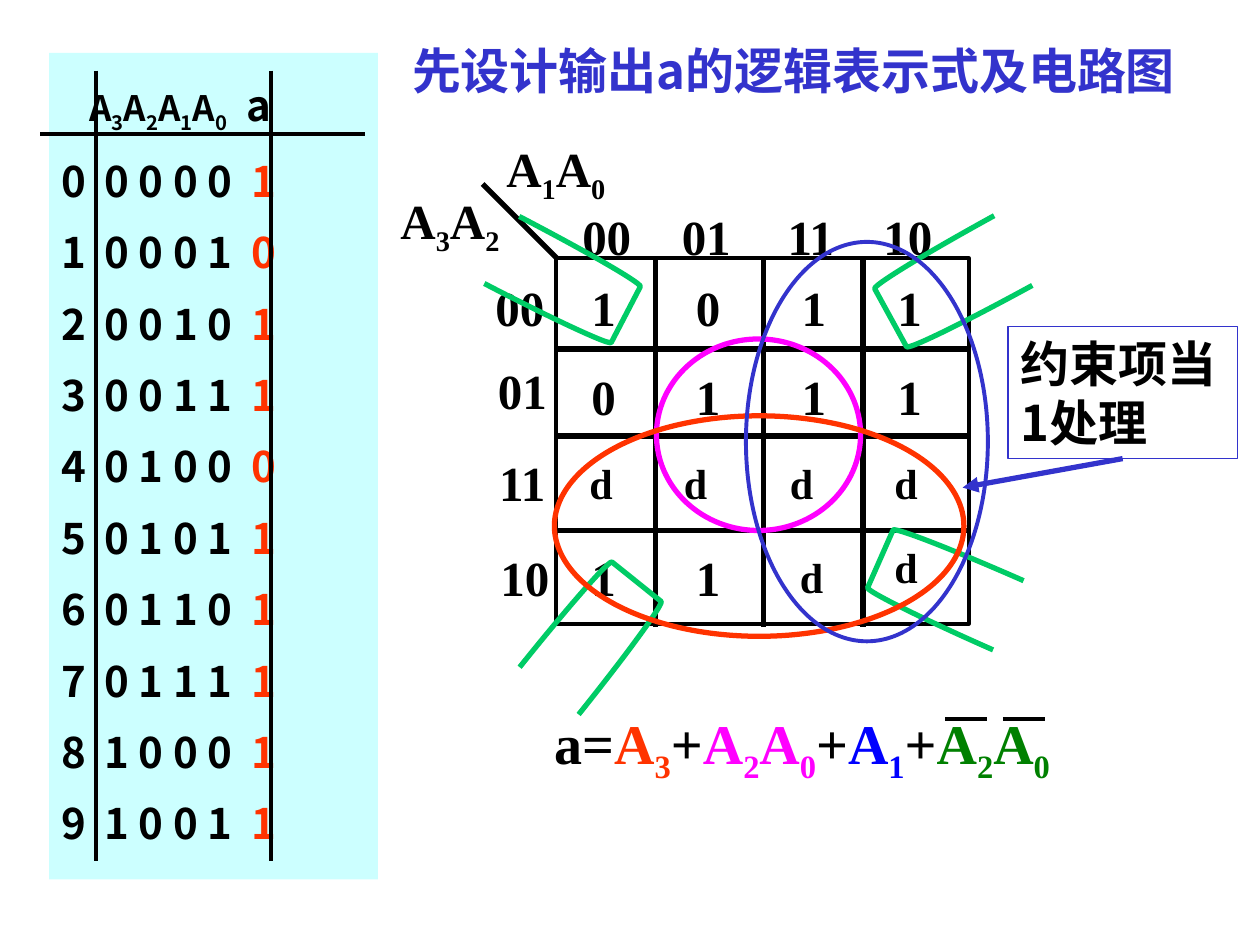
from lxml import etree
from pptx import Presentation
from pptx.dml.color import RGBColor
from pptx.enum import shapes, text
from pptx.oxml import ns
from pptx.util import Inches, Pt

BLACK = RGBColor(0, 0, 0)
WHITE = RGBColor(255, 255, 255)
INDIGO = RGBColor(0x33, 0x33, 0xCC)
BLUE = RGBColor(0, 0, 255)
MAGENTA = RGBColor(255, 0, 255)
RED = RGBColor(0xFF, 0x33, 0)
GREEN = RGBColor(0, 0x80, 0)
LOOP_GREEN = RGBColor(0, 0xCC, 0x66)
PALE_CYAN = RGBColor(0xCC, 0xFF, 0xFF)
SERIF, SANS = "Times New Roman", "Noto Sans CJK SC"
LEFT, CENTER = text.PP_ALIGN.LEFT, text.PP_ALIGN.CENTER
MIDDLE, TOP = text.MSO_ANCHOR.MIDDLE, text.MSO_ANCHOR.TOP

# Content
TITLE = "先设计输出a的逻辑表示式及电路图"
NOTE = "约束项当1处理"
SEGMENT_A = "1011011111"  # output for the decimal digits 0 to 9
FORMULA = [("a=", BLACK), ("A3", RED), ("+", BLACK), ("A2A0", MAGENTA),
           ("+", BLACK), ("A1", BLUE), ("+", BLACK), ("A2A0", GREEN)]
NEGATION_BARS = [7.5, 7.96]

# Karnaugh map: cell values, then left and top of each label or cell
MAP_VALUES = ["1011", "0111", "    ", "11  "]
CELL_LEFTS = [4.53, 5.36, 6.2, 6.96]
CELL_TOPS = [2.15, 2.86, 3.58, 4.29]
COLUMN_LABELS = [("00", 4.44), ("01", 5.23), ("11", 6.06), ("10", 6.83)]
ROW_LABELS = [("00", 3.75, 2.15), ("01", 3.77, 2.81),
              ("11", 3.77, 3.54), ("10", 3.79, 4.29)]
DONT_CARES = [(4.58, 3.58), (5.33, 3.58), (6.17, 3.58), (7, 3.58),
              (6.25, 4.33), (7, 4.25)]
COLUMN_RULES = [5.2, 6.06, 6.85]
ROW_RULES = [2.77, 3.46, 4.21]
CORNER_LOOPS = [((7, 1.94, 1.11, 0.63), 331.3), ((6.94, 4.36, 1.11, 0.6), 23.8),
                ((4.15, 4.75, 1.11, 0.6), 128.7), ((3.92, 1.94, 1.11, 0.6), 207.5)]

prs = Presentation()
prs.slide_width, prs.slide_height = Inches(10), Inches(7.5)
slide = prs.slides.add_slide(prs.slide_layouts[5])


def variables(names, color=BLACK, size=28):
    """Runs for names such as A3A2, with the digits as subscripts."""
    return [(char, color, size, char.isdigit()) for char in names]


def add_runs(paragraph, runs, font):
    for content, color, size, subscript in runs:
        run = paragraph.add_run()
        run.text = content
        run.font.name, run.font.size, run.font.bold = font, Pt(size), True
        run.font.color.rgb = color
        props = run.font._element
        if subscript:
            props.set("baseline", "-25000")
        if font == SANS:
            etree.SubElement(props, ns.qn("a:ea")).set("typeface", font)


def prepare(frame, anchor=MIDDLE):
    frame.word_wrap = True
    frame.auto_size = text.MSO_AUTO_SIZE.NONE
    frame.vertical_anchor = anchor
    frame.margin_left = frame.margin_right = Inches(0.1)
    frame.margin_top = frame.margin_bottom = Inches(0.05)
    return frame.paragraphs[0]


def add_label(box, runs, align=LEFT, anchor=MIDDLE):
    label = slide.shapes.add_textbox(*map(Inches, box))
    paragraph = prepare(label.text_frame, anchor)
    paragraph.alignment = align
    add_runs(paragraph, runs, SERIF)


def add_figure(kind, box, fill=None, color=None, width=3):
    figure = slide.shapes.add_shape(kind, *map(Inches, box))
    figure.shadow.inherit = False
    if fill is None:
        figure.fill.background()
    else:
        figure.fill.solid()
        figure.fill.fore_color.rgb = fill
    if color is None:
        figure.line.fill.background()
    else:
        figure.line.color.rgb = color
        figure.line.width = Pt(width)
    return figure


def add_line(x1, y1, x2, y2, width=3, color=BLACK, arrow=False):
    line = slide.shapes.add_connector(shapes.MSO_CONNECTOR.STRAIGHT,
                                      *map(Inches, (x1, y1, x2, y2)))
    line.line.color.rgb = color
    line.line.width = Pt(width)
    props = line._element.spPr
    if arrow:
        etree.SubElement(props.find(ns.qn("a:ln")), ns.qn("a:tailEnd")).set("type", "triangle")
    etree.SubElement(props, ns.qn("a:effectLst"))


def set_tabs(paragraph, stops):
    tabs = etree.SubElement(paragraph._p.get_or_add_pPr(), ns.qn("a:tabLst"))
    for stop in stops:
        tab = etree.SubElement(tabs, ns.qn("a:tab"))
        tab.set("pos", str(Inches(stop)))
        tab.set("algn", "l")


# Title
title = slide.shapes.title
title.left, title.top, title.width, title.height = map(Inches, (3.17, 0.27, 6.59, 0.57))
heading = prepare(title.text_frame)
heading.alignment, heading.line_spacing = LEFT, Pt(33.6)
add_runs(heading, [(TITLE, INDIGO, 28, False)], SANS)

# Karnaugh map grid and labels
add_figure(shapes.MSO_SHAPE.RECTANGLE, (4.41, 2.05, 3.28, 2.9), WHITE, BLACK, 2.25)
for x in COLUMN_RULES:
    add_line(x, 2.05, x, 4.98)
for y in ROW_RULES:
    add_line(4.42, y, 7.71, y)
add_line(4.42, 2.05, 3.83, 1.46)
add_label((3.08, 1.49, 1.19, 0.57), variables("A3A2"))
add_label((3.92, 1.08, 1.19, 0.57), variables("A1A0"))
for code, left, top in [(c, x, 1.59) for c, x in COLUMN_LABELS] + ROW_LABELS:
    add_label((left, top, 0.75, 0.57), [(code, BLACK, 28, False)], CENTER)
for values, top in zip(MAP_VALUES, CELL_TOPS):
    for value, left in zip(values, CELL_LEFTS):
        if value != " ":
            add_label((left, top, 0.52, 0.57), [(value, BLACK, 28, False)], CENTER)

# Note on the don't-care terms
add_line(8.91, 3.64, 7.64, 3.87, color=INDIGO, arrow=True)
note = add_figure(shapes.MSO_SHAPE.RECTANGLE, (8, 2.59, 1.82, 1.05), color=INDIGO, width=0.75)
remark = prepare(note.text_frame)
remark.alignment, remark.line_spacing = LEFT, Pt(33.6)
add_runs(remark, [(NOTE, BLACK, 28, False)], SANS)

# Loops around the grouped terms
add_figure(shapes.MSO_SHAPE.OVAL, (5.21, 2.69, 1.62, 1.52), color=MAGENTA)
for box, angle in CORNER_LOOPS:
    corner = add_figure(shapes.MSO_SHAPE.LEFT_BRACKET, box, color=LOOP_GREEN)
    corner.adjustments[0] = 0.083
    corner.rotation = angle

# Resulting expression
add_label((4.3, 5.61, 4.78, 0.63),
          [run for names, color in FORMULA for run in variables(names, color, 32)])
for x in NEGATION_BARS:
    add_line(x, 5.71, x + 0.33, 5.71, 2.25)

# Truth table
panel = add_figure(shapes.MSO_SHAPE.RECTANGLE, (0.39, 0.42, 2.61, 6.56), PALE_CYAN)
row = prepare(panel.text_frame)
row.alignment, row.line_spacing = LEFT, Pt(28.8)
set_tabs(row, (0.22, 1.47))
add_runs(row, [("\t", BLACK, 20, False), *variables("A3A2A1A0", size=20),
               ("\ta", BLACK, 24, False)], SANS)
for digit, output in enumerate(SEGMENT_A):
    row = panel.text_frame.add_paragraph()
    row.alignment, row.line_spacing, row.space_before = LEFT, Pt(28.8), Pt(12)
    set_tabs(row, (0.34, 1.51))
    bits = " ".join(f"{digit:04b}")
    add_runs(row, [(f"{digit}\t{bits}\t", BLACK, 24, False),
                   (output, RED, 24, False)], SANS)
add_line(0.32, 1.06, 2.9, 1.06, 2.25)
for x in (0.76, 2.15):
    add_line(x, 0.56, x, 6.83, 2.25)

# Loops and don't-care marks on top
add_figure(shapes.MSO_SHAPE.OVAL, (4.4, 3.3, 3.25, 1.75), color=RED)
for left, top in DONT_CARES:
    add_label((left, top, 0.5, 0.5), [("d", BLACK, 24, False)], anchor=TOP)
add_figure(shapes.MSO_SHAPE.OVAL, (5.92, 1.92, 1.92, 3.17), color=INDIGO, width=2.25)

prs.save("out.pptx")
